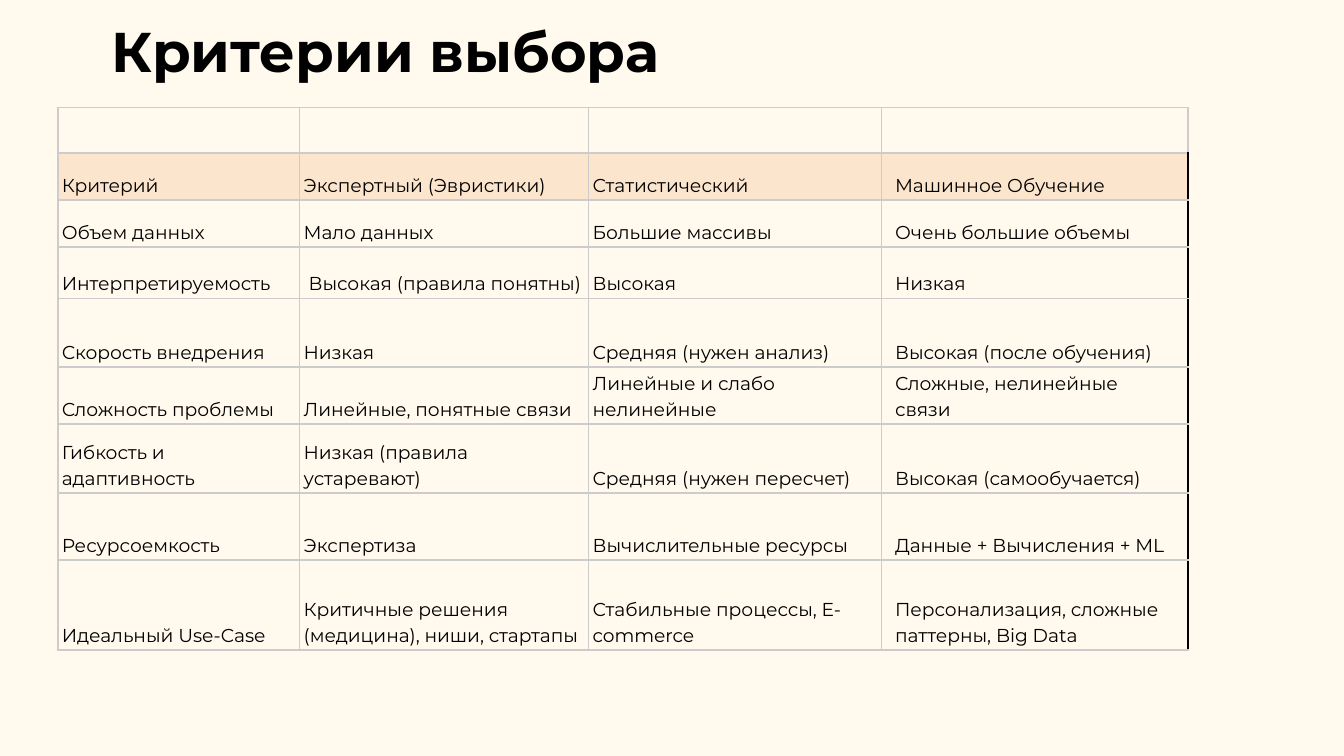
from lxml import etree
from pptx import Presentation
from pptx.dml.color import RGBColor
from pptx.enum.text import MSO_ANCHOR, MSO_AUTO_SIZE, PP_ALIGN
from pptx.oxml.ns import qn
from pptx.util import Inches, Pt

MIDDLE, BOTTOM = MSO_ANCHOR.MIDDLE, MSO_ANCHOR.BOTTOM
LEFT = PP_ALIGN.LEFT
NO_AUTOFIT = MSO_AUTO_SIZE.NONE
TITLE_ONLY_LAYOUT = 5

FONT = "Montserrat"
CREAM = RGBColor(0xFF, 0xFA, 0xED)
PEACH = RGBColor(0xFC, 0xE5, 0xCD)
GREY = RGBColor(0xCC, 0xCC, 0xCC)
BLACK = RGBColor(0, 0, 0)

COLUMN_WIDTHS = [1.8, 2.15, 2.18, 2.28]
ROW_HEIGHTS = [0.34, 0.35, 0.35, 0.38, 0.51, 0.42, 0.51, 0.5, 0.67]
HEADER_ROW = 1
CRITERIA = [
    ("", "", "", ""),
    ("Критерий", "Экспертный (Эвристики)", "Статистический", "Машинное Обучение"),
    ("Объем данных", "Мало данных", "Большие массивы", "Очень большие объемы"),
    ("Интерпретируемость", " Высокая (правила понятны)", "Высокая", "Низкая"),
    ("Скорость внедрения", "Низкая", "Средняя (нужен анализ)",
     "Высокая (после обучения)"),
    ("Сложность проблемы", "Линейные, понятные связи",
     "Линейные и слабо нелинейные", "Сложные, нелинейные связи"),
    ("Гибкость и адаптивность", "Низкая (правила устаревают)",
     "Средняя (нужен пересчет)", "Высокая (самообучается)"),
    ("Ресурсоемкость", "Экспертиза", "Вычислительные ресурсы",
     "Данные + Вычисления + ML"),
    ("Идеальный Use-Case", "Критичные решения (медицина), ниши, стартапы",
     "Стабильные процессы, E-commerce",
     "Персонализация, сложные паттерны, Big Data"),
]


def style_font(font, size, bold=False):
    font.name = FONT
    font.size = Pt(size)
    font.bold = bold
    font.color.rgb = BLACK


def set_borders(cell, right_color):
    """Draw 1 pt borders; the lines must come before the fill in the XML."""
    properties = cell._tc.get_or_add_tcPr()
    colors = {"a:lnL": GREY, "a:lnR": right_color, "a:lnT": GREY, "a:lnB": GREY}
    for position, (tag, color) in enumerate(colors.items()):
        line = etree.Element(qn(tag), w=str(Pt(1)))
        fill = etree.SubElement(line, qn("a:solidFill"))
        etree.SubElement(fill, qn("a:srgbClr"), val=str(color))
        properties.insert(position, line)


def fill_cell(cell, text, is_header, is_last_column, right_color):
    cell.text = text
    cell.vertical_anchor = BOTTOM
    cell.margin_left = cell.margin_right = Inches(0.1 if is_last_column else 0.03)
    cell.margin_top = cell.margin_bottom = Inches(0.02)
    paragraph = cell.text_frame.paragraphs[0]
    paragraph.line_spacing = 1.15
    style_font(paragraph.font, 10)
    if is_header:
        cell.fill.solid()
        cell.fill.fore_color.rgb = PEACH
    else:
        cell.fill.background()
    set_borders(cell, right_color)


def add_title(slide, text):
    title = slide.shapes.title
    title.left, title.top = Inches(0.73), Inches(0.02)
    title.width, title.height = Inches(8.45), Inches(0.71)
    frame = title.text_frame
    frame.text = text
    frame.auto_size = NO_AUTOFIT
    frame.vertical_anchor = MIDDLE
    frame.margin_left = frame.margin_right = Inches(0.1)
    frame.margin_top = frame.margin_bottom = Inches(0.1)
    paragraph = frame.paragraphs[0]
    paragraph.alignment = LEFT
    style_font(paragraph.font, 30, bold=True)


def add_criteria_table(slide):
    table = slide.shapes.add_table(
        len(ROW_HEIGHTS), len(COLUMN_WIDTHS), Inches(0.43), Inches(0.8),
        Inches(sum(COLUMN_WIDTHS)), Inches(sum(ROW_HEIGHTS))).table
    table.first_row = table.horz_banding = False
    for column, width in zip(table.columns, COLUMN_WIDTHS):
        column.width = Inches(width)
    last_column = len(COLUMN_WIDTHS) - 1
    for row_index, texts in enumerate(CRITERIA):
        table.rows[row_index].height = Inches(ROW_HEIGHTS[row_index])
        for column_index, text in enumerate(texts):
            is_last = column_index == last_column
            # The outer right edge is black from the header row down
            right_color = BLACK if is_last and row_index >= HEADER_ROW else GREY
            fill_cell(table.cell(row_index, column_index), text,
                      row_index == HEADER_ROW, is_last, right_color)


def main():
    presentation = Presentation()
    # Widescreen, 16:9
    presentation.slide_width = Inches(10)
    presentation.slide_height = Inches(10 * 9 / 16)
    slide = presentation.slides.add_slide(
        presentation.slide_layouts[TITLE_ONLY_LAYOUT])
    slide.background.fill.solid()
    slide.background.fill.fore_color.rgb = CREAM
    add_title(slide, "Критерии выбора")
    add_criteria_table(slide)
    presentation.save("out.pptx")


if __name__ == "__main__":
    main()
